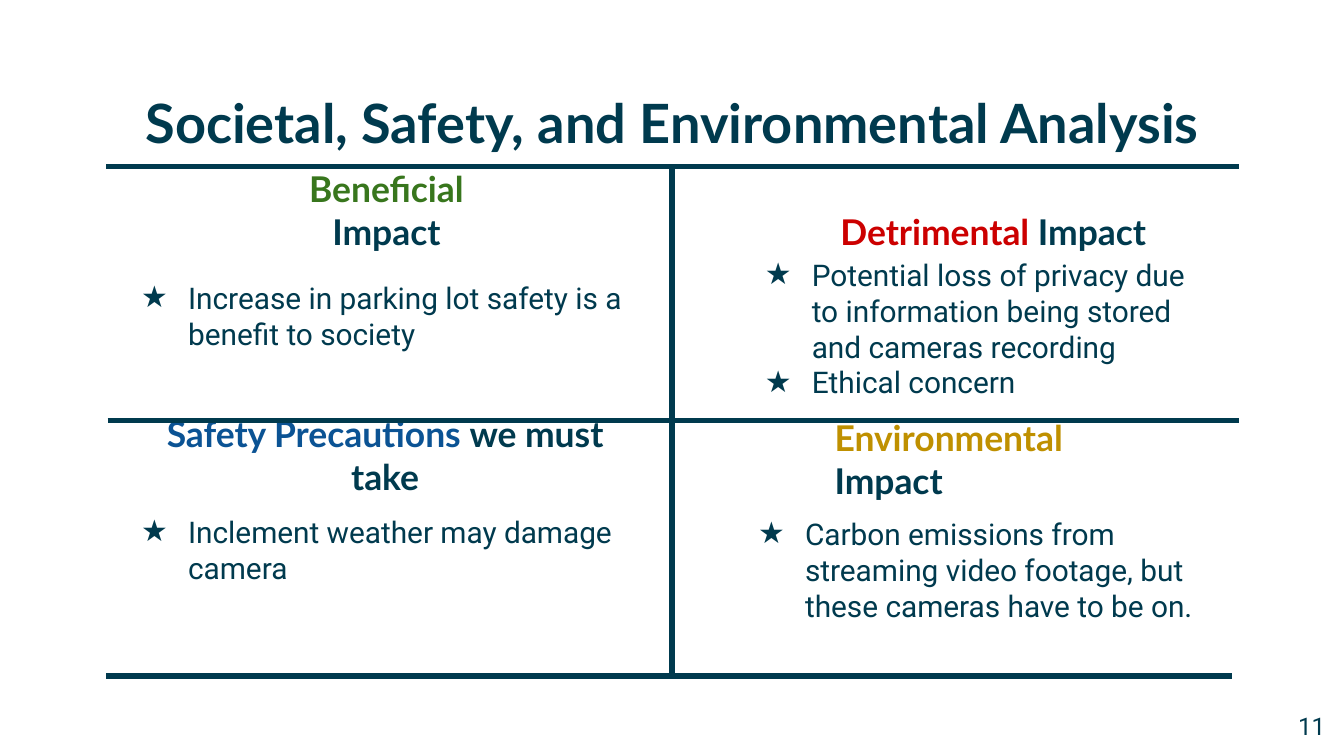
from dataclasses import dataclass

from lxml import etree
from pptx import Presentation
from pptx.dml.color import RGBColor
from pptx.enum.shapes import MSO_CONNECTOR
from pptx.enum.text import MSO_ANCHOR, MSO_AUTO_SIZE, PP_ALIGN
from pptx.oxml.ns import qn
from pptx.util import Inches, Pt

LEFT, CENTER, RIGHT = PP_ALIGN.LEFT, PP_ALIGN.CENTER, PP_ALIGN.RIGHT
TOP, MIDDLE, BOTTOM = MSO_ANCHOR.TOP, MSO_ANCHOR.MIDDLE, MSO_ANCHOR.BOTTOM
STRAIGHT = MSO_CONNECTOR.STRAIGHT
COMPARISON_LAYOUT = 4
SLIDE_WIDTH = 10
SLIDE_HEIGHT = SLIDE_WIDTH * 9 / 16


@dataclass(frozen=True)
class Theme:
    ink: str = "003A4E"
    green: str = "38761D"
    red: str = "CC0000"
    blue: str = "0B5394"
    gold: str = "BF9000"
    heading_font: str = "Lato"
    body_font: str = "Roboto"
    title_size: int = 29
    heading_size: int = 19
    body_size: int = 16
    number_size: int = 13
    line_width: int = 3


@dataclass(frozen=True)
class Box:
    left: float
    top: float
    width: float
    height: float


@dataclass(frozen=True)
class Quadrant:
    heading_box: Box
    alignment: PP_ALIGN
    accent: str
    accent_text: str
    plain_text: str
    list_box: Box
    items: tuple[str, ...]


THEME = Theme()
QUADRANTS = (
    Quadrant(Box(1.75, 1.42, 2.2, 0.56), CENTER, THEME.green, "Beneficial", " Impact",
             Box(0.8, 1.98, 3.94, 0.81),
             ("Increase in parking lot safety is a benefit to society",)),
    Quadrant(Box(6.06, 1.42, 2.61, 0.56), CENTER, THEME.red, "Detrimental", " Impact",
             Box(5.44, 1.81, 3.65, 0.81),
             ("Potential loss of privacy due to information being stored and cameras recording",
              "Ethical concern")),
    Quadrant(Box(0.94, 3.24, 3.8, 0.56), CENTER, THEME.blue, "Safety Precautions ", "we must take",
             Box(0.8, 3.72, 3.94, 0.8),
             ("Inclement weather may damage camera",)),
    Quadrant(Box(6.06, 3.27, 2.61, 0.56), LEFT, THEME.gold, "Environmental", " Impact",
             Box(5.39, 3.74, 3.65, 0.8),
             ("Carbon emissions from streaming video footage, but these cameras have to be on.",)),
)
GRID_LINES = (
    (5, 1.24, 5, 5.01),
    (0.8, 3.13, 9.22, 3.13),
    (0.79, 1.24, 9.22, 1.24),
    (0.79, 5.03, 9.17, 5.03),
)


def place(shape, box: Box) -> None:
    for name in ("left", "top", "width", "height"):
        setattr(shape, name, Inches(getattr(box, name)))


def format_frame(shape, anchor: MSO_ANCHOR, left_margin: float = 0.1):
    frame = shape.text_frame
    values = {
        "word_wrap": True,
        "auto_size": MSO_AUTO_SIZE.NONE,
        "vertical_anchor": anchor,
        "margin_left": Inches(left_margin),
        "margin_top": Inches(0.1),
        "margin_right": Inches(0.1),
        "margin_bottom": Inches(0.1),
    }
    for name, value in values.items():
        setattr(frame, name, value)
    return frame


def format_paragraph(paragraph, alignment: PP_ALIGN) -> None:
    values = {"alignment": alignment, "space_before": Pt(0),
              "space_after": Pt(0), "line_spacing": 1.0}
    for name, value in values.items():
        setattr(paragraph, name, value)


def add_run(paragraph, text: str, font_name: str, size: int,
            color: str = THEME.ink, bold: bool = False) -> None:
    run = paragraph.add_run()
    run.text = text
    for name, value in {"name": font_name, "size": Pt(size), "bold": bold}.items():
        setattr(run.font, name, value)
    run.font.color.rgb = RGBColor.from_string(color)


def add_star_bullet(paragraph) -> None:
    properties = paragraph._p.get_or_add_pPr()
    properties.set("marL", str(Inches(0.5)))
    properties.set("indent", str(Inches(-0.35)))
    bullet_color = etree.SubElement(properties, qn("a:buClr"))
    etree.SubElement(bullet_color, qn("a:srgbClr"), val=THEME.ink)
    etree.SubElement(properties, qn("a:buFont"), typeface=THEME.body_font)
    etree.SubElement(properties, qn("a:buChar"), char="★")


def fill_title(shape) -> None:
    place(shape, Box(0.79, 0.59, 8.43, 0.63))
    paragraph = format_frame(shape, MIDDLE).paragraphs[0]
    format_paragraph(paragraph, CENTER)
    add_run(paragraph, "Societal, Safety, and Environmental Analysis",
            THEME.heading_font, THEME.title_size, bold=True)


def add_text_box(slide, box: Box, anchor: MSO_ANCHOR, alignment: PP_ALIGN,
                 left_margin: float = 0.1):
    """Add an empty text box and return its first paragraph."""
    shape = slide.shapes.add_textbox(0, 0, 0, 0)
    place(shape, box)
    paragraph = format_frame(shape, anchor, left_margin).paragraphs[0]
    format_paragraph(paragraph, alignment)
    return paragraph


def add_heading(slide, quadrant: Quadrant) -> None:
    paragraph = add_text_box(slide, quadrant.heading_box, BOTTOM, quadrant.alignment, 0.15)
    for text, color in ((quadrant.accent_text, quadrant.accent),
                        (quadrant.plain_text, THEME.ink)):
        add_run(paragraph, text, THEME.heading_font, THEME.heading_size, color, True)


def fill_list(shape, quadrant: Quadrant) -> None:
    place(shape, quadrant.list_box)
    frame = format_frame(shape, TOP)
    for index, item in enumerate(quadrant.items):
        paragraph = frame.add_paragraph() if index else frame.paragraphs[0]
        format_paragraph(paragraph, LEFT)
        add_star_bullet(paragraph)
        add_run(paragraph, item, THEME.body_font, THEME.body_size)


def add_line(slide, *ends: float) -> None:
    line = slide.shapes.add_connector(STRAIGHT, *map(Inches, ends))
    line.line.color.rgb = RGBColor.from_string(THEME.ink)
    line.line.width = Pt(THEME.line_width)
    etree.SubElement(line._element.spPr, qn("a:effectLst"))


def main() -> None:
    presentation = Presentation()
    presentation.slide_width = Inches(SLIDE_WIDTH)
    presentation.slide_height = Inches(SLIDE_HEIGHT)
    slide = presentation.slides.add_slide(presentation.slide_layouts[COMPARISON_LAYOUT])

    title, *lists = slide.placeholders
    fill_title(title)
    for list_shape, quadrant in zip(lists, QUADRANTS):
        add_heading(slide, quadrant)
        fill_list(list_shape, quadrant)
    for ends in GRID_LINES:
        add_line(slide, *ends)
    number = add_text_box(slide, Box(9.36, 5.19, 0.6, 0.43), TOP, RIGHT)
    add_run(number, "11", THEME.body_font, THEME.number_size)
    presentation.save("out.pptx")


if __name__ == "__main__":
    main()
